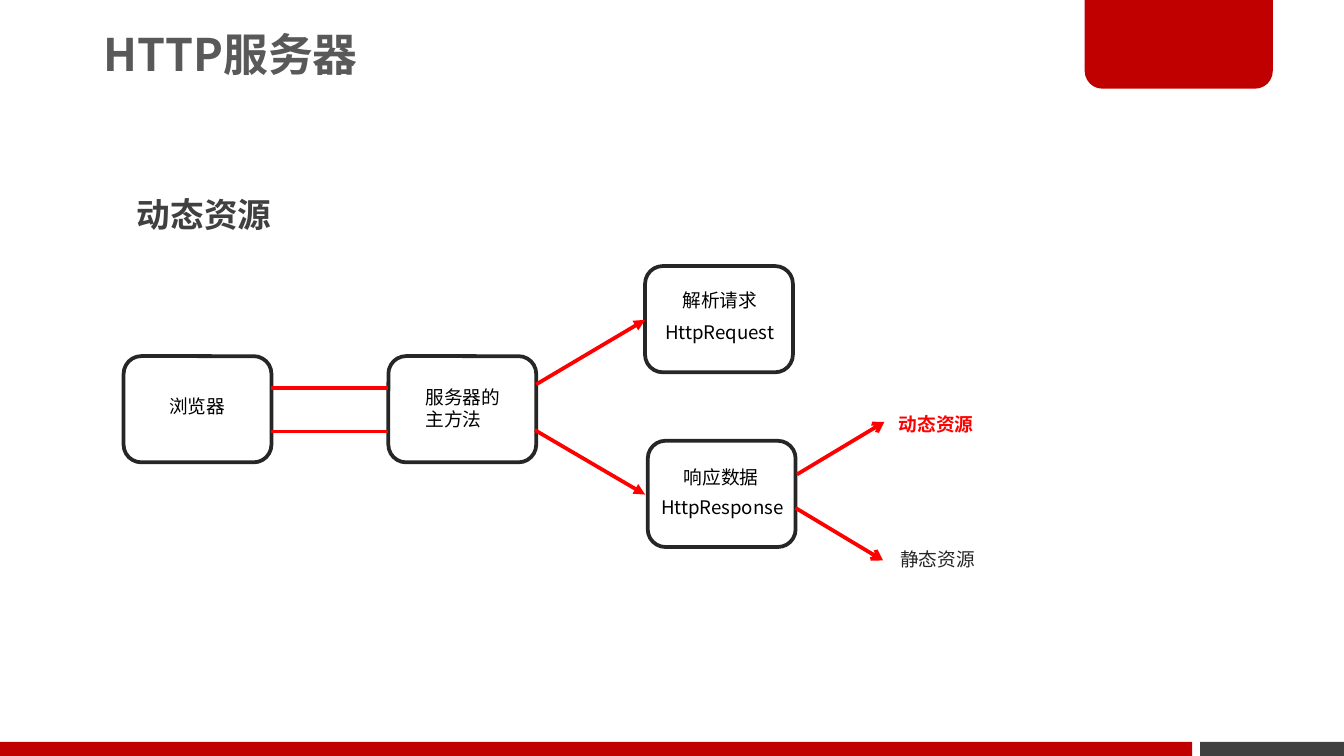
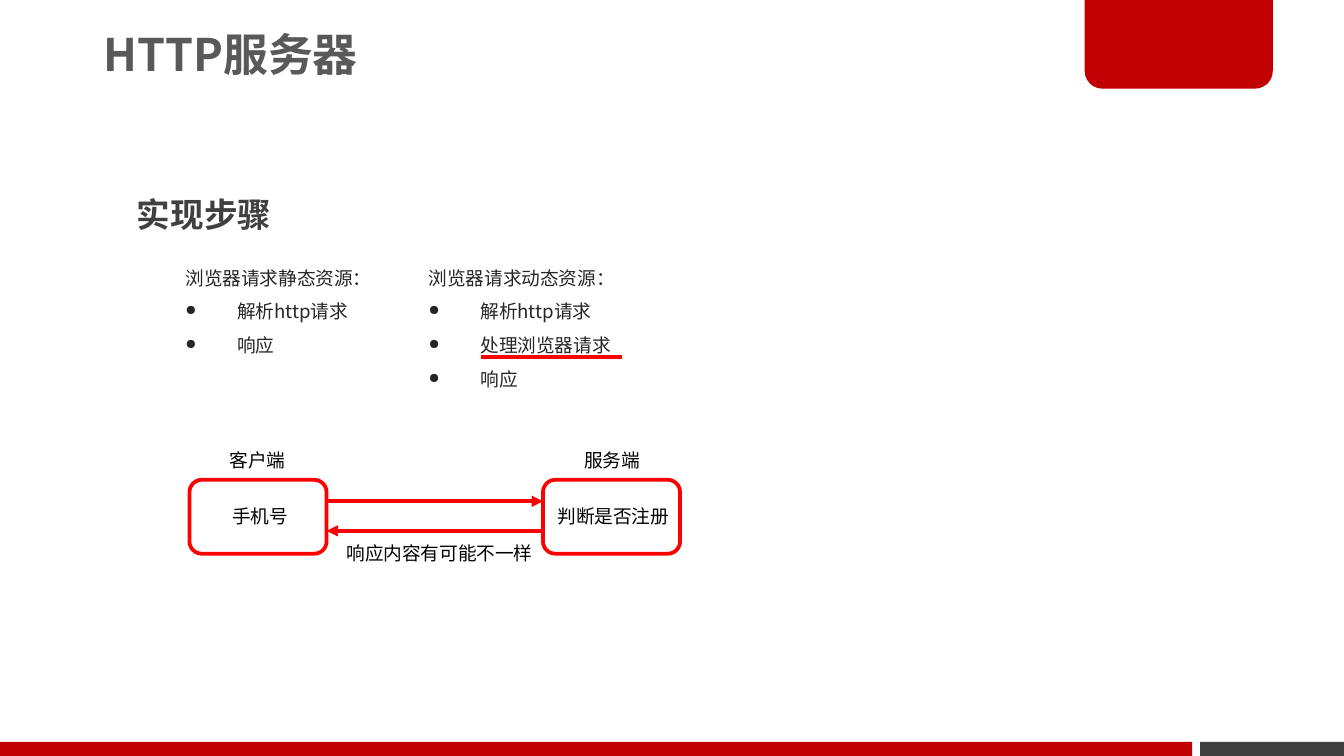
from lxml import etree
from pptx import Presentation
from pptx.dml.color import RGBColor
from pptx.enum.shapes import MSO_CONNECTOR, MSO_SHAPE
from pptx.enum.text import MSO_ANCHOR, MSO_AUTO_SIZE
from pptx.oxml.ns import qn
from pptx.util import Inches, Pt

RECTANGLE = MSO_SHAPE.RECTANGLE
ROUNDED = MSO_SHAPE.ROUNDED_RECTANGLE
TAB = MSO_SHAPE.ROUND_2_SAME_RECTANGLE
STRAIGHT = MSO_CONNECTOR.STRAIGHT
MIDDLE = MSO_ANCHOR.MIDDLE
GROW = MSO_AUTO_SIZE.SHAPE_TO_FIT_TEXT

SLIDE_WIDTH, SLIDE_HEIGHT = Inches(10), Inches(5.625)
CELL = SLIDE_WIDTH / 100  # the grid has 100 columns of square cells
FONT = "Noto Sans CJK SC"
BRAND_RED, RED = "C00000", "FF0000"
BLACK, INK, DARK_GRAY, TITLE_GRAY = "000000", "262626", "404040", "595959"

SERVER_NODE = (11, 7.9)
PHONE_NODE = (10.2, 5.5)
LATIN_WIDTH, CHINESE_WIDTH = 0.78, 1.38  # cells per letter of a label


def color(value):
    return RGBColor.from_string(value)


def cells(*counts):
    return [round(count * CELL) for count in counts]


def add_block(slide, kind, area, fill):
    shape = slide.shapes.add_shape(kind, *cells(*area))
    shape.shadow.inherit = False
    shape.fill.solid()
    shape.fill.fore_color.rgb = color(fill)
    shape.line.fill.background()
    return shape


def add_node(slide, left, top, size, outline):
    shape = slide.shapes.add_shape(ROUNDED, *cells(left, top, *size))
    shape.shadow.inherit = False
    shape.fill.background()
    shape.line.color.rgb = color(outline)
    shape.line.width = Pt(2)


def add_line(slide, start, end, arrowhead=None):
    line = slide.shapes.add_connector(STRAIGHT, *cells(*start, *end))
    line.line.color.rgb = color(RED)
    line.line.width = Pt(2)
    if arrowhead:
        etree.SubElement(line.line._get_or_add_ln(), qn("a:tailEnd"), type=arrowhead)
    etree.SubElement(line._element.spPr, qn("a:effectLst"))


def add_bullet(paragraph, indent):
    properties = paragraph._p.get_or_add_pPr()
    margin = cells(indent)[0]
    properties.set("marL", str(margin))
    properties.set("indent", str(-margin))
    etree.SubElement(properties, qn("a:buSzPct"), val="75000")
    etree.SubElement(properties, qn("a:buChar"), char="●")


def add_text(slide, area, lines, size, ink, bold=False, spacing=None,
             insets=(1, 0.5), anchor=None, wrap=True, grow=True, bullets=False):
    """Add a text box; with bullets, every line after the first is a list item."""
    box = slide.shapes.add_textbox(*cells(*area))
    frame = box.text_frame
    frame.word_wrap = wrap
    if grow:
        frame.auto_size = GROW
    if anchor is not None:
        frame.vertical_anchor = anchor
    side, edge = cells(*insets)
    frame.margin_left = frame.margin_right = side
    frame.margin_top = frame.margin_bottom = edge
    frame.text = "\n".join(lines)
    for index, paragraph in enumerate(frame.paragraphs):
        if spacing:
            paragraph.line_spacing = spacing
        if bullets and index:
            add_bullet(paragraph, 3.85)
        font = paragraph.font
        font.size, font.bold, font.name = Pt(size), bold, FONT
        font.color.rgb = color(ink)
        defaults = paragraph._p.pPr.find(qn("a:defRPr"))
        etree.SubElement(defaults, qn("a:ea"), typeface=FONT)


def add_label(slide, left, top, text, ink=BLACK, bold=False):
    """Add a small unwrapped label as wide and high as its text."""
    lines = text.split("\n")
    width = 2 + max(sum(LATIN_WIDTH if letter.isascii() else CHINESE_WIDTH
                        for letter in line) for line in lines)
    area = (left, top, width, 1 + 1.7 * len(lines))
    add_text(slide, area, lines, 10, ink, bold, wrap=False)


def add_list(slide, left, width, lines):
    add_text(slide, (left, 17.6, width, 2.8 + 2.5 * len(lines)), lines, 10, INK,
             spacing=1.5, insets=(0, 1.4), anchor=MIDDLE, bullets=True)


def add_page(presentation, heading):
    slide = presentation.slides.add_slide(presentation.slide_layouts[6])
    add_block(slide, RECTANGLE, (89.3, 55.2, 10.7, 1.05), DARK_GRAY)
    add_block(slide, RECTANGLE, (0, 55.2, 88.7, 1.05), BRAND_RED)
    tab = add_block(slide, TAB, (80.7, 0, 14, 6.6), BRAND_RED)
    tab.rotation = 180
    tab.adjustments[0] = 0.2
    add_text(slide, (6.9, -0.2, 58.9, 8.9), ["HTTP服务器"], 24, TITLE_GRAY, True,
             spacing=0.9, insets=(0.8, 0.4), anchor=MIDDLE, grow=False)
    add_text(slide, (9.2, 12.4, 38.4, 5.5), [heading], 18, DARK_GRAY, True, spacing=1.5)
    return slide


def build_dynamic_resources(presentation):
    slide = add_page(presentation, "动态资源")
    for left, top in ((9.2, 26.5), (28.9, 26.5), (48, 19.8), (48.2, 32.8)):
        add_node(slide, left, top, SERVER_NODE, INK)
    for row in (28.9, 32.1):
        add_line(slide, (20.2, row), (28.9, row))
    for start, end, arrowhead in (
        ((39.9, 28.6), (48, 23.8), "triangle"),
        ((39.8, 32), (48, 36.8), "triangle"),
        ((59.3, 35.3), (65.8, 31.4), "arrow"),
        ((59.2, 37.8), (65.7, 41.7), "arrow"),
    ):
        add_line(slide, start, end, arrowhead)
    for left, top, text in (
        (11.6, 28.9, "浏览器"),
        (30.7, 28.2, "服务器的\n主方法"),
        (49.8, 21, "解析请求"),
        (48.5, 23.4, "HttpRequest"),
        (49.9, 34.2, "响应数据"),
        (48.2, 36.4, "HttpResponse"),
    ):
        add_label(slide, left, top, text)
    add_label(slide, 65.9, 30.2, "动态资源", RED, True)
    add_label(slide, 66, 40.3, "静态资源", INK)


def build_steps(presentation):
    slide = add_page(presentation, "实现步骤")
    add_list(slide, 13.8, 16.1, ["浏览器请求静态资源：", "解析http请求", "响应"])
    add_list(slide, 31.9, 18.4,
             ["浏览器请求动态资源：", "解析http请求", "处理浏览器请求", "响应"])
    add_line(slide, (35.8, 26.55), (46.3, 26.55))
    for left in (14.1, 40.4):
        add_node(slide, left, 35.7, PHONE_NODE, RED)
    add_line(slide, (24.3, 37.3), (40.4, 37.3), "triangle")
    add_line(slide, (40.4, 39.5), (24.3, 39.5), "triangle")
    for left, top, text in (
        (16.1, 32.9, "客户端"),
        (42.5, 32.9, "服务端"),
        (16.3, 37.1, "手机号"),
        (40.5, 37.1, "判断是否注册"),
        (24.8, 39.8, "响应内容有可能不一样"),
    ):
        add_label(slide, left, top, text)


def main():
    presentation = Presentation()
    presentation.slide_width, presentation.slide_height = SLIDE_WIDTH, SLIDE_HEIGHT
    build_dynamic_resources(presentation)
    build_steps(presentation)
    presentation.save("out.pptx")


if __name__ == "__main__":
    main()
